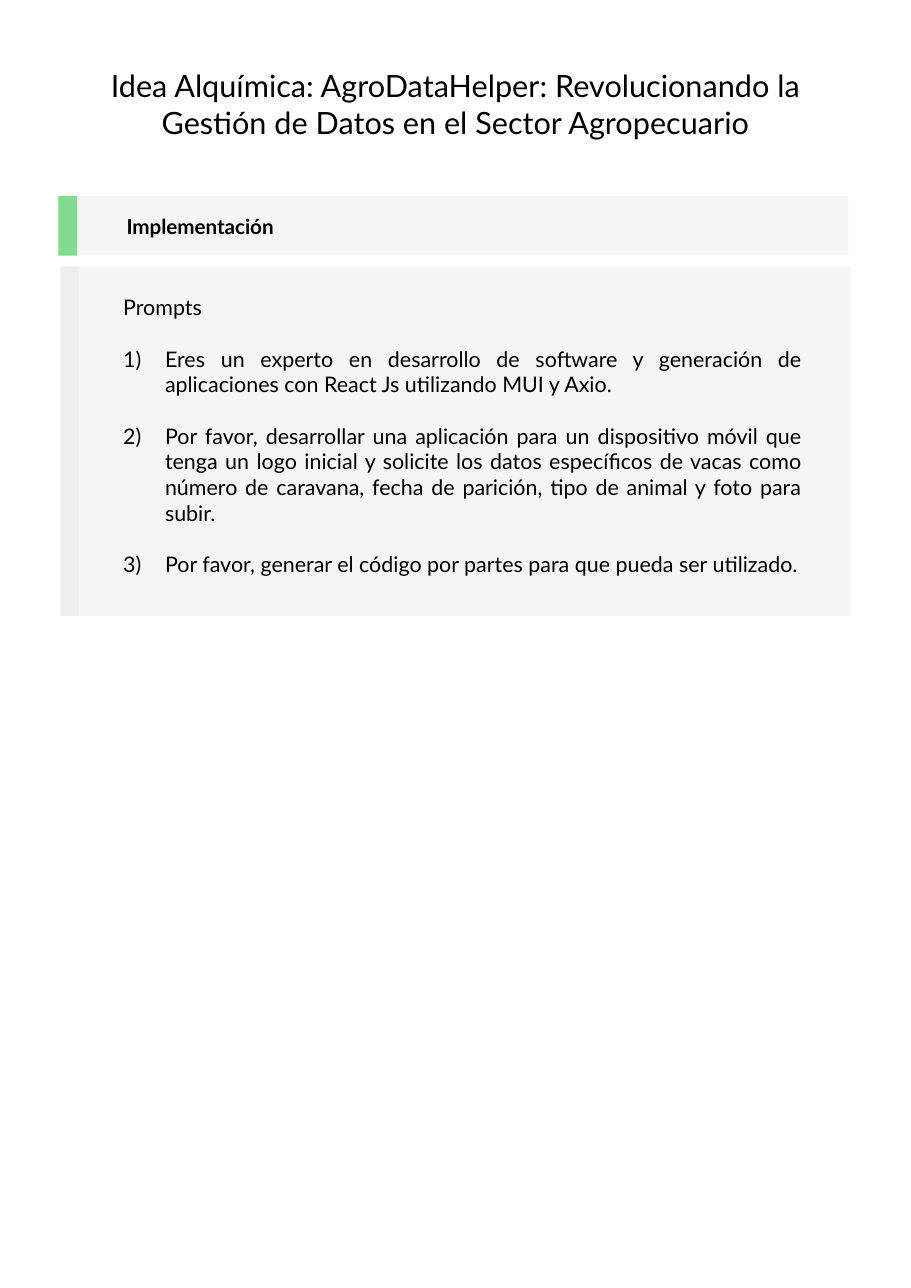
from lxml import etree
from pptx import Presentation
from pptx.dml.color import RGBColor
from pptx.enum.shapes import MSO_SHAPE
from pptx.enum.text import MSO_ANCHOR, PP_ALIGN
from pptx.oxml.ns import qn
from pptx.util import Pt

PX = 9144
FONT = "Lato"
RECT = MSO_SHAPE.RECTANGLE
TOP, MIDDLE = MSO_ANCHOR.TOP, MSO_ANCHOR.MIDDLE
LEFT, CENTER, JUSTIFY = PP_ALIGN.LEFT, PP_ALIGN.CENTER, PP_ALIGN.JUSTIFY

BLACK, PANEL, GREEN, GRAY = "000000", "F5F5F5", "82DB91", "EEEEEE"
STRIPE_W = 17
INSET = 10
INDENT = 38

TITLE = ("Idea Alquímica: AgroDataHelper: Revolucionando la "
         "Gestión de Datos en el Sector Agropecuario")
PROMPTS = [
    "Eres un experto en desarrollo de software y generación de aplicaciones "
    "con React Js utilizando MUI y Axio.",
    "Por favor, desarrollar una aplicación para un dispositivo móvil que tenga "
    "un logo inicial y solicite los datos específicos de vacas como número de "
    "caravana, fecha de parición, tipo de animal y foto para subir.",
    "Por favor, generar el código por partes para que pueda ser utilizado.",
]


def px(n):
    return n * PX


def rgb(color):
    return RGBColor.from_string(color)


def add_frame(slide, x, y, w, h, anchor=TOP):
    tf = slide.shapes.add_textbox(px(x), px(y), px(w), px(h)).text_frame
    tf.word_wrap = True
    tf.vertical_anchor = anchor
    tf.margin_left = tf.margin_right = px(INSET)
    tf.margin_top = tf.margin_bottom = px(INSET)
    return tf


def add_text(tf, text, size=14, bold=False, align=LEFT, before=0, numbered=False):
    p = tf.paragraphs[0] if not tf.text else tf.add_paragraph()
    p.alignment = align
    p.space_before = Pt(before)
    r = p.add_run()
    r.text = text
    r.font.name = FONT
    r.font.size = Pt(size)
    r.font.bold = bold
    r.font.color.rgb = rgb(BLACK)
    if numbered:
        pPr = p._p.get_or_add_pPr()
        pPr.set("marL", str(px(INDENT)))
        pPr.set("indent", str(-px(INDENT)))
        etree.SubElement(pPr, qn("a:buAutoNum"), type="arabicParenR")


def add_panel(slide, x, y, w, h, stripe):
    group = slide.shapes.add_group_shape()
    for width, color in ((w, PANEL), (STRIPE_W, stripe)):
        sp = group.shapes.add_shape(RECT, px(x), px(y), px(width), px(h))
        sp.shadow.inherit = False
        sp.fill.solid()
        sp.fill.fore_color.rgb = rgb(color)
        sp.line.fill.background()


def add_title(slide, x, y, w, h):
    add_text(add_frame(slide, x, y, w, h), TITLE, size=20, align=CENTER)


def add_heading(slide, x, y, w, h):
    add_panel(slide, x, y, w, h, GREEN)
    tf = add_frame(slide, x + 52, y + 3, w - 65, h - 5, anchor=MIDDLE)
    add_text(tf, "Implementación", size=13.5, bold=True)


def add_prompts(slide, x, y, w, h):
    add_panel(slide, x, y, w, h, GRAY)
    tf = add_frame(slide, x + 47, y + 15, w - 81, h - 15)
    add_text(tf, "Prompts", align=JUSTIFY)
    for prompt in PROMPTS:
        add_text(tf, prompt, align=JUSTIFY, before=16.8, numbered=True)


def main():
    prs = Presentation()
    prs.slide_width, prs.slide_height = px(827), px(1169)
    slide = prs.slides.add_slide(prs.slide_layouts[6])
    add_title(slide, 55, 51, 717, 88)
    add_heading(slide, 53, 178, 717, 54)
    add_prompts(slide, 55, 242, 717, 317)
    prs.save("out.pptx")


if __name__ == "__main__":
    main()
